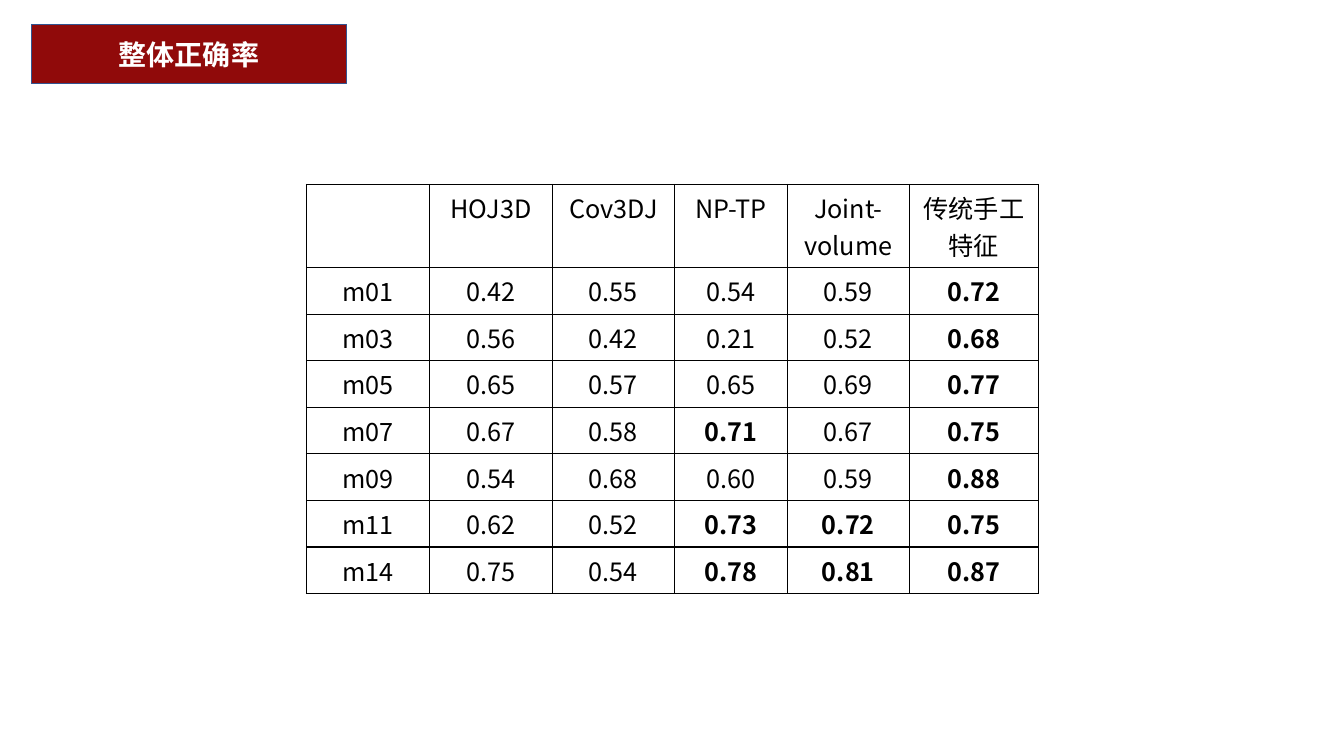
from dataclasses import dataclass

from lxml.etree import SubElement
from pptx import Presentation
from pptx.dml.color import RGBColor
from pptx.enum.shapes import MSO_SHAPE as Shape
from pptx.enum.text import MSO_ANCHOR as Anchor, PP_ALIGN as Align
from pptx.oxml.ns import qn
from pptx.util import Inches, Pt


@dataclass(frozen=True)
class Theme:
    font: str = "Noto Sans CJK SC"
    title_size: int = 20
    cell_size: int = 18
    line_width: int = 1
    black: str = "000000"
    white: str = "FFFFFF"
    red: str = "900A0A"
    blue: str = "325491"


theme = Theme()


def write(frame, text, size=theme.cell_size, color=theme.black, bold=False):
    paragraph = frame.paragraphs[0]
    paragraph.alignment = Align.CENTER
    run = paragraph.add_run()
    run.text = text
    run.font.name = theme.font
    run.font.size = Pt(size)
    run.font.bold = bold
    run.font.color.rgb = RGBColor.from_string(color)
    # East Asian typeface for the Chinese text
    SubElement(run.font._element, qn("a:ea"), typeface=theme.font)


def add_borders(cell):
    properties = cell._tc.get_or_add_tcPr()
    for side in ("lnL", "lnR", "lnT", "lnB"):
        line = SubElement(properties, qn(f"a:{side}"), w=str(Pt(theme.line_width)))
        fill = SubElement(line, qn("a:solidFill"))
        SubElement(fill, qn("a:srgbClr"), val=theme.black)


prs = Presentation()
prs.slide_width, prs.slide_height = Inches(13.33), Inches(7.5)
slide = prs.slides.add_slide(prs.slide_layouts[6])

# Accuracy per method; an asterisk marks a bold value
accuracy = [
    ["", "HOJ3D", "Cov3DJ", "NP-TP", "Joint-volume", "传统手工特征"],
    ["m01", "0.42", "0.55", "0.54", "0.59", "0.72*"],
    ["m03", "0.56", "0.42", "0.21", "0.52", "0.68*"],
    ["m05", "0.65", "0.57", "0.65", "0.69", "0.77*"],
    ["m07", "0.67", "0.58", "0.71*", "0.67", "0.75*"],
    ["m09", "0.54", "0.68", "0.60", "0.59", "0.88*"],
    ["m11", "0.62", "0.52", "0.73*", "0.72*", "0.75*"],
    ["m14", "0.75", "0.54", "0.78*", "0.81*", "0.87*"],
]
column_widths = [1.22, 1.22, 1.21, 1.12, 1.21, 1.28]
row_height = 0.41

# Accuracy table
accuracy_table = slide.shapes.add_table(
    len(accuracy), len(column_widths), Inches(3.04), Inches(1.83),
    Inches(sum(column_widths)), Inches(row_height * len(accuracy)),
).table
accuracy_table.first_row = accuracy_table.horz_banding = False
for column, width in zip(accuracy_table.columns, column_widths):
    column.width = Inches(width)
for row, values in zip(accuracy_table.rows, accuracy):
    row.height = Inches(row_height)
    for cell, value in zip(row.cells, values):
        add_borders(cell)
        cell.fill.solid()
        cell.fill.fore_color.rgb = RGBColor.from_string(theme.white)
        if value:
            write(cell.text_frame, value.rstrip("*"), bold=value.endswith("*"))

# Title banner
title = slide.shapes.add_shape(
    Shape.RECTANGLE, Inches(0.31), Inches(0.24), Inches(3.13), Inches(0.59))
title.shadow.inherit = False
title.fill.solid()
title.fill.fore_color.rgb = RGBColor.from_string(theme.red)
title.line.color.rgb = RGBColor.from_string(theme.blue)
title.line.width = Pt(theme.line_width)
title.text_frame.vertical_anchor = Anchor.MIDDLE
write(title.text_frame, "整体正确率", size=theme.title_size, color=theme.white, bold=True)

prs.save("out.pptx")
